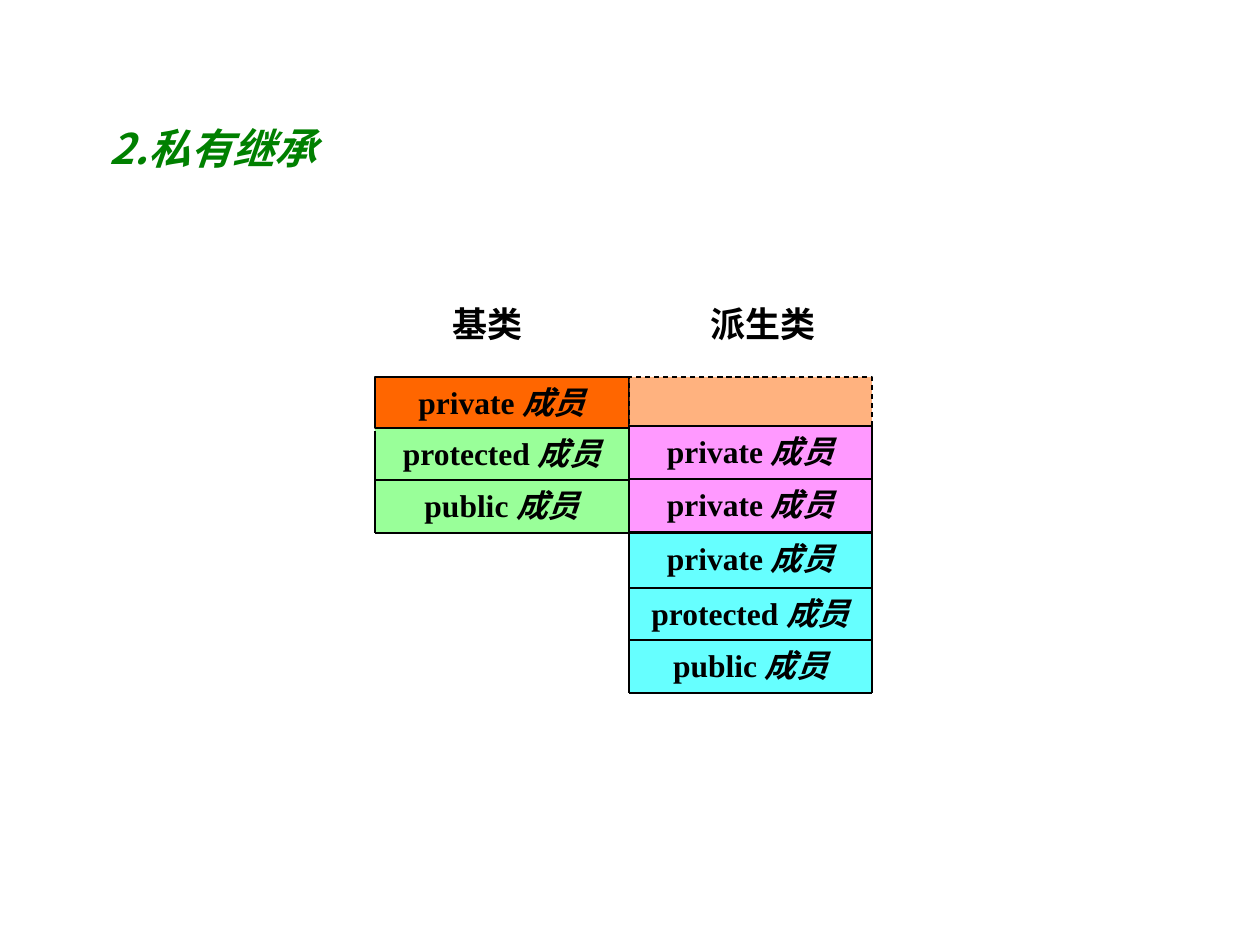
import pptx
import pptx.util
import pptx.dml.color
import pptx.enum.dml
import pptx.enum.shapes
import pptx.enum.text
import pptx.oxml
import pptx.oxml.ns

PX = 914400 // 126
LATIN = "Times New Roman"
BLACK, GREEN, ORANGE = "000000", "99FF99", "FF6600"
PINK, CYAN = "FF99FF", "66FFFF"
BASE_X, DERIVED_X, RIGHT_X = 375, 629, 872
ROWS = [377, 428, 480, 533, 588, 640, 693]


def px(n):
    return pptx.util.Emu(n * PX)


def rgb(value):
    return pptx.dml.color.RGBColor.from_string(value)


def add_run(p, text, color=BLACK, **values):
    r = p.add_run()
    r.text = text
    r.font.color.rgb = rgb(color)
    for name, value in {"name": LATIN, "bold": True, **values}.items():
        setattr(r.font, name, value)


def add_label(s, x, y, w, h, text, wrap=False, align=None, **values):
    sp = s.add_textbox(px(x), px(y), px(w), px(h))
    sp.text_frame.word_wrap = wrap
    p = sp.text_frame.paragraphs[0]
    p.alignment = align
    add_run(p, text, **values)


def add_cell(s, left, right, top, bottom, fill, access=None, outlined=False):
    """Add one member row of a class, with its access word if it has one."""
    sp = s.add_shape(pptx.enum.shapes.MSO_SHAPE.RECTANGLE,
                     px(left), px(top), px(right - left), px(bottom - top))
    sp.shadow.inherit = False
    sp.fill.solid()
    sp.fill.fore_color.rgb = rgb(fill)
    if outlined:
        sp.line.color.rgb = rgb(BLACK)
        sp.line.width = pptx.util.Pt(0.75)
    else:
        sp.line.fill.background()
    if access:
        tf = sp.text_frame
        tf.word_wrap = True
        tf.vertical_anchor = pptx.enum.text.MSO_ANCHOR.TOP
        p = tf.paragraphs[0]
        p.alignment = pptx.enum.text.PP_ALIGN.CENTER
        size = pptx.util.Pt(18)
        add_run(p, access + " ", size=size)
        add_run(p, "成员", size=size, italic=True)
    return sp


def add_hidden_member(s):
    """Add the dashed, half transparent row of the inaccessible member."""
    sp = add_cell(s, DERIVED_X, RIGHT_X, ROWS[0], 429, ORANGE, outlined=True)
    sp.line.dash_style = pptx.enum.dml.MSO_LINE.DASH
    color = sp.fill._xPr.find(".//" + pptx.oxml.ns.qn("a:srgbClr"))
    color.append(pptx.oxml.parse_xml(
        f'<a:alpha {pptx.oxml.ns.nsdecls("a")} val="50000"/>'))


def add_line(s, x1, y1, x2, y2):
    c = s.add_connector(pptx.enum.shapes.MSO_CONNECTOR.STRAIGHT,
                        px(x1), px(y1), px(x2), px(y2))
    c.line.color.rgb = rgb(BLACK)
    c.line.width = pptx.util.Pt(1)
    c._element.spPr.append(pptx.oxml.parse_xml(
        f'<a:effectLst {pptx.oxml.ns.nsdecls("a")}/>'))


def add_rules(s, left, top, ys):
    """Add the row lines at ys and the two side lines below top."""
    for y in ys:
        add_line(s, left, y, RIGHT_X, y)
    for x in (left, RIGHT_X):
        add_line(s, x, top, x, ys[-1])


def main():
    prs = pptx.Presentation()
    prs.slide_width = pptx.util.Inches(10)
    prs.slide_height = pptx.util.Inches(7.5)
    s = prs.slides.add_slide(prs.slide_layouts[6]).shapes

    members = ["private", "protected", "public"]
    for i, access in enumerate(members):
        add_cell(s, BASE_X, DERIVED_X, ROWS[i], ROWS[i + 1],
                 GREEN if i else ORANGE, access, outlined=i == 0)
    add_rules(s, BASE_X, 431, ROWS[1:4])

    for i, access in enumerate(members, 3):
        add_cell(s, DERIVED_X, RIGHT_X, ROWS[i], ROWS[i + 1], CYAN, access)
    add_rules(s, DERIVED_X, ROWS[3], ROWS[3:])

    for x, w, text in ((440, 104, "基类"), (698, 138, "派生类")):
        add_label(s, x, 296, w, 55, text, size=pptx.util.Pt(20))

    add_hidden_member(s)
    for top, bottom in ((426, 479), (479, 532)):
        add_cell(s, DERIVED_X, RIGHT_X, top, bottom, PINK, "private", outlined=True)

    add_label(s, 94, 116, 238, 63, "2.私有继承", wrap=True,
              align=pptx.enum.text.PP_ALIGN.CENTER, color="008000",
              name="Noto Sans CJK SC", size=pptx.util.Pt(24), italic=True)
    prs.save("out.pptx")


if __name__ == "__main__":
    main()
